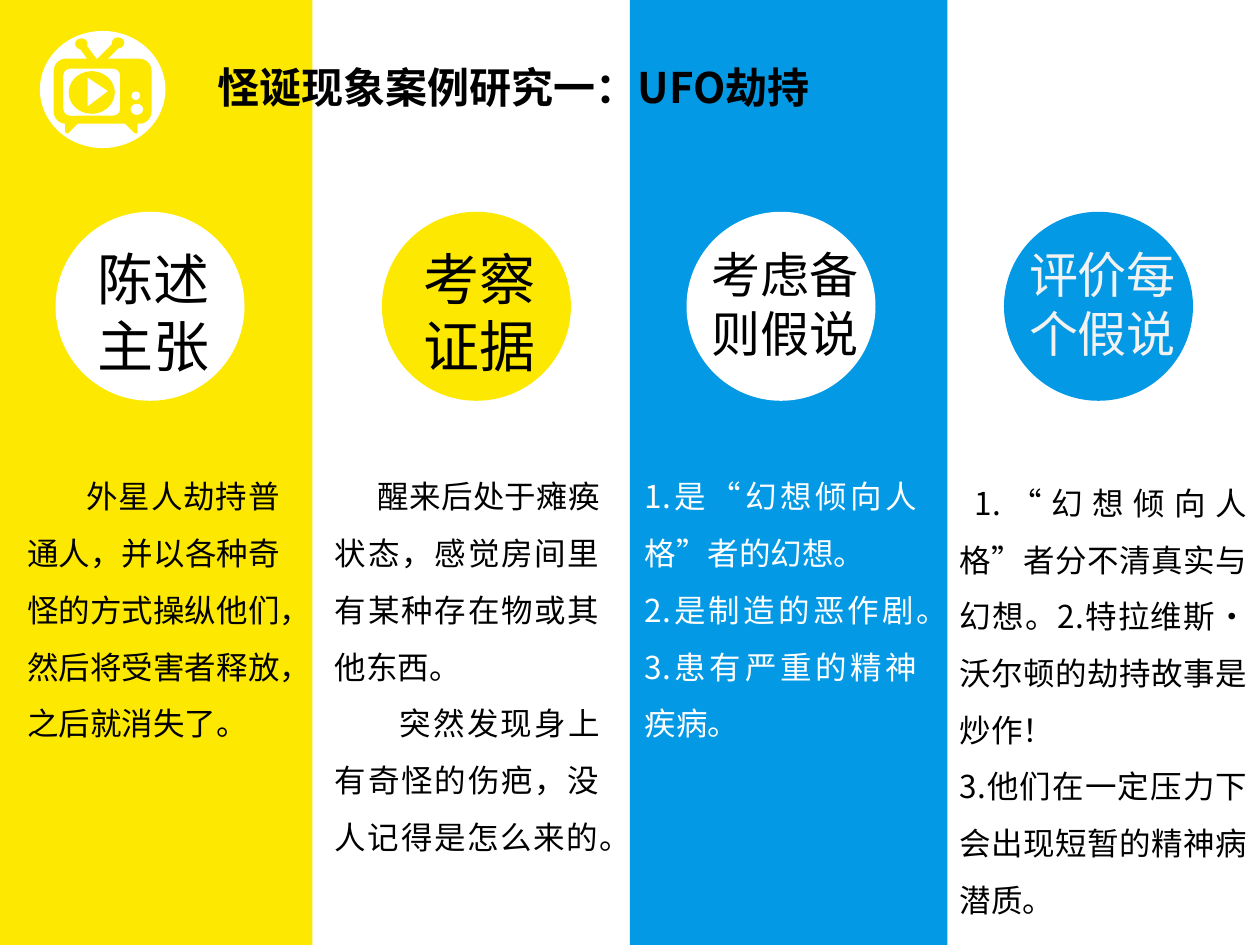
from pptx import Presentation
from pptx import util as u
from pptx.dml.color import RGBColor
from pptx.enum import shapes, text
from pptx.oxml.ns import qn
from lxml import etree

FONT = "Noto Sans CJK SC"
COLORS = {"yellow": "FDE801", "blue": "0399E5", "white": "FFFFFF",
          "pale": "F2F2F2", "black": "000000"}
KIND = shapes.MSO_SHAPE
ALIGN = text.PP_ALIGN

prs = Presentation()
prs.slide_width, prs.slide_height = u.Cm(25.4), u.Cm(19.05)
slide = prs.slides.add_slide(prs.slide_layouts[6])


def add_filled(parent, kind, box, color, line=None, rotation=0):
    """Add a preset shape; box is left, top, width, height in cm."""
    shape = parent.add_shape(kind, *map(u.Cm, box))
    shape.shadow.inherit = False
    shape.fill.solid()
    shape.fill.fore_color.rgb = RGBColor.from_string(COLORS[color])
    if line:
        shape.line.color.rgb = RGBColor.from_string(COLORS[line])
        shape.line.width = u.Pt(2)
    else:
        shape.line.fill.background()
    shape.rotation = rotation
    return shape


def add_text(lines, box, size, color="black", bold=False, align=ALIGN.LEFT,
             spacing=1.0, indents=(), wrap=True):
    """Add a text box with one paragraph per line; indents are first-line, in cm."""
    frame = slide.shapes.add_textbox(*map(u.Cm, box)).text_frame
    frame.word_wrap = wrap
    frame.auto_size = text.MSO_AUTO_SIZE.SHAPE_TO_FIT_TEXT
    for i, line in enumerate(lines):
        para = frame.paragraphs[0] if i == 0 else frame.add_paragraph()
        para.alignment = align
        para.line_spacing = spacing
        if i < len(indents):
            para._p.get_or_add_pPr().set("indent", str(u.Cm(indents[i])))
        run = para.add_run()
        run.text = line
        run.font.size = u.Pt(size)
        run.font.bold = bold
        run.font.color.rgb = RGBColor.from_string(COLORS[color])
        run.font.name = FONT
        east_asian = etree.SubElement(run._r.get_or_add_rPr(), qn("a:ea"))
        east_asian.set("typeface", FONT)


# Background bands and title
for left, color in ((-0.1, "yellow"), (12.7, "blue")):
    add_filled(slide.shapes, KIND.RECTANGLE, (left, 0, 6.4, 19.05), color)
add_text(["怪诞现象案例研究一：UFO劫持"], (4.14, 1.12, 12.47, 1.27), 24, bold=True)

# Four steps: circle left and colour, label, label size and colour
steps = [
    (1.12, "white", ["陈述", "主张"], 32, "black"),
    (7.7, "yellow", ["考察", "证据"], 32, "black"),
    (13.84, "white", ["考虑备", "则假说"], 28, "black"),
    (20.24, "blue", ["评价每", "个假说"], 28, "pale"),
]
label_frames = {32: (0.58, 2.79, 3.0), 28: (0.23, 3.51, 2.64)}
for left, fill, label, size, color in steps:
    add_filled(slide.shapes, KIND.OVAL, (left, 4.27, 3.81, 3.81), fill)
    offset, width, height = label_frames[size]
    add_text(label, (left + offset, 4.8, width, height), size, color,
             align=ALIGN.CENTER, wrap=False)

# Body text of each step
bodies = [
    ((0.3, 9.12, 5.59, 7.19), "black", (1.19,),
     ["外星人劫持普通人，并以各种奇怪的方式操纵他们，然后将受害者释放，之后就消失了。"]),
    ((6.5, 9.12, 5.84, 8.33), "black", (0.87, 1.31),
     ["醒来后处于瘫痪状态，感觉房间里有某种存在物或其他东西。",
      "突然发现身上有奇怪的伤疤，没人记得是怎么来的。"]),
    ((12.75, 9.12, 5.99, 6.02), "white", (),
     ["1.是“幻想倾向人格”者的幻想。",
      "2.是制造的恶作剧。",
      "3.患有严重的精神疾病。"]),
    ((19.1, 9.25, 6.3, 9.5), "black", (0.3,),
     ["1.“幻想倾向人格”者分不清真实与幻想。2.特拉维斯·沃尔顿的劫持故事是炒作！",
      "3.他们在一定压力下会出现短暂的精神病潜质。"]),
]
for box, color, indents, lines in bodies:
    add_text(lines, box, 18, color, align=ALIGN.JUSTIFY, spacing=1.5, indents=indents)

# Television icon
television = slide.shapes.add_group_shape().shapes
parts = [
    (KIND.OVAL, (0.84, 0.66, 2.46, 2.29), "white", "white", 0),
    (KIND.ROUNDED_RECTANGLE, (1.12, 1.22, 1.9, 1.24), "yellow", "yellow", 0),
    (KIND.ROUNDED_RECTANGLE, (1.24, 1.35, 1.22, 1.02), "white", "yellow", 0),
    (KIND.OVAL, (2.69, 1.88, 0.1, 0.1), "white", "white", 0),
    (KIND.OVAL, (2.67, 2.13, 0.18, 0.15), "white", "white", 0),
    (KIND.RIGHT_TRIANGLE, (2.54, 2.46, 0.2, 0.2), "yellow", "yellow", 180),
    (KIND.RIGHT_TRIANGLE, (1.35, 2.46, 0.2, 0.2), "yellow", "yellow", 90),
    (KIND.ROUNDED_RECTANGLE, (1.75, 0.86, 0.08, 0.48), "yellow", "yellow", 324),
    (KIND.ROUNDED_RECTANGLE, (2.11, 0.84, 0.08, 0.53), "yellow", "yellow", 45.2),
    (KIND.OVAL, (1.55, 0.81, 0.18, 0.15), "yellow", "yellow", 0),
    (KIND.OVAL, (2.29, 0.79, 0.18, 0.15), "yellow", "yellow", 0),
    (KIND.OVAL, (1.42, 1.47, 0.86, 0.79), "yellow", "yellow", 0),
]
for part in parts:
    add_filled(television, *part)
play = add_filled(television, KIND.ISOSCELES_TRIANGLE, (1.68, 1.65, 0.58, 0.41),
                  "white", rotation=90)
play.adjustments[0] = 0.47

prs.save("out.pptx")
